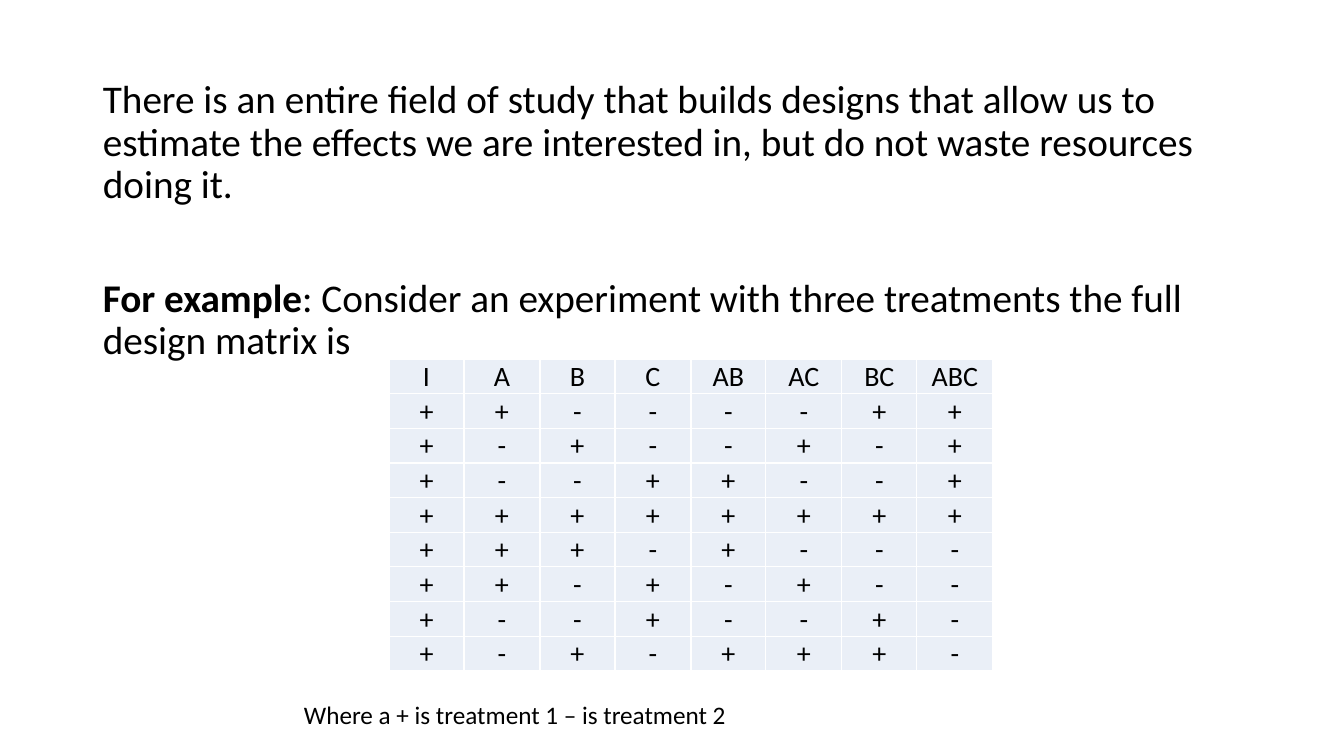
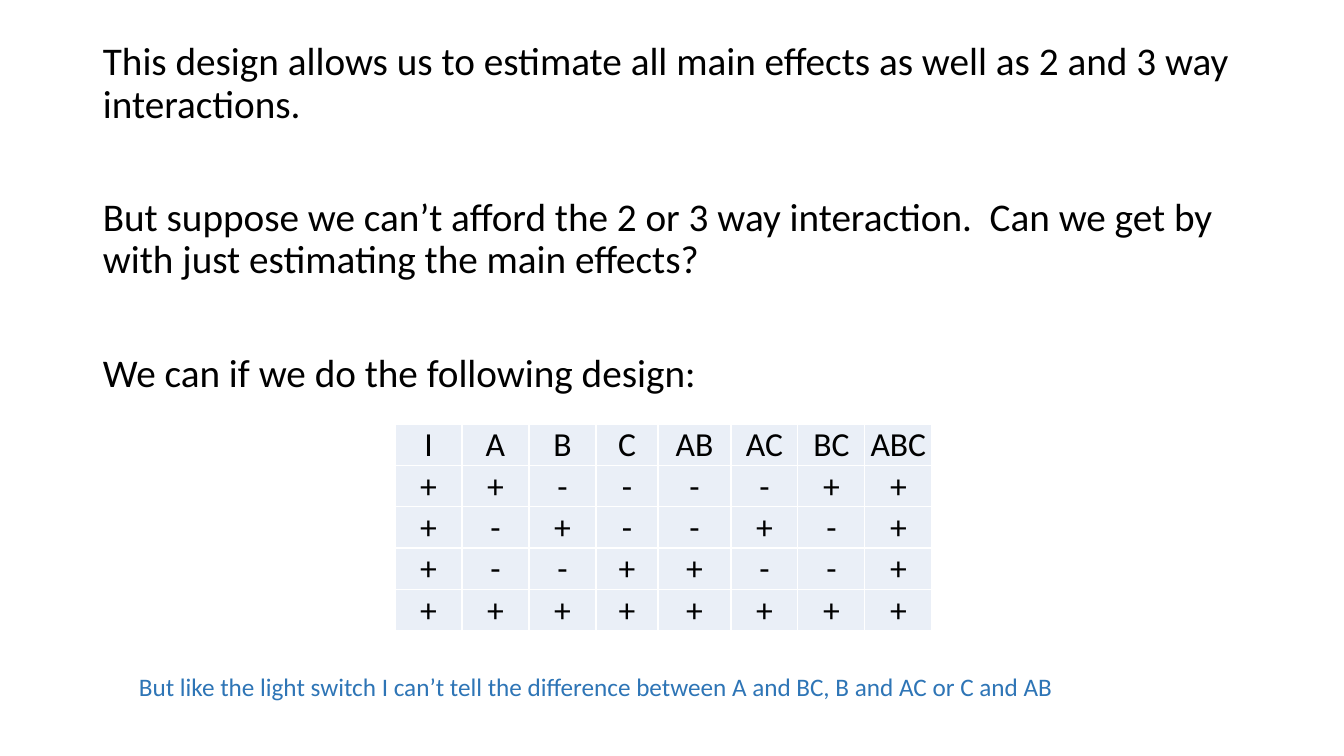
from dataclasses import dataclass

from lxml.etree import SubElement
from pptx import Presentation
from pptx.dml.color import RGBColor
from pptx.enum.text import MSO_ANCHOR as Anchor, MSO_AUTO_SIZE as AutoSize, PP_ALIGN as Align
from pptx.oxml.ns import qn
from pptx.util import Emu, Pt

# Shared style
FONT = "Calibri"
BLACK, WHITE, BLUE, CELL_FILL = "000000", "FFFFFF", "2E75B6", "EAEFF7"
BODY_SIZE, NOTE_SIZE = 28, 18
BODY_LEFT, BODY_WIDTH = 93, 1159
PARAGRAPH_GAP = 50.8
EMU_PER_PX = 914400 / 100.8


@dataclass
class Paragraph:
    text: str
    lead: str = ""


@dataclass
class Body:
    top: int
    height: int
    paragraphs: list[Paragraph]


@dataclass
class DesignTable:
    left: int
    top: int
    columns: list[int]
    row_height: int
    size: int
    runs: list[str]


@dataclass
class Note:
    left: int
    top: int
    width: int
    text: str
    color: str


@dataclass
class DesignSlide:
    body: Body
    table: DesignTable
    note: Note


def px(n: int) -> Emu:
    return Emu(round(n * EMU_PER_PX))


def rgb(color: str) -> RGBColor:
    return RGBColor.from_string(color)


def style_run(r, size: int, color: str = BLACK, bold: bool = False) -> None:
    r.font.name = FONT
    r.font.size = Pt(size)
    r.font.bold = bold
    r.font.color.rgb = rgb(color)


def draw_body(s, body: Body) -> None:
    sp = s.shapes.add_textbox(px(BODY_LEFT), px(body.top), px(BODY_WIDTH), px(body.height))
    tf = sp.text_frame
    tf.word_wrap = True
    for i, paragraph in enumerate(body.paragraphs):
        p = tf.add_paragraph() if i else tf.paragraphs[0]
        p.line_spacing = 0.9
        p.space_before = Pt(PARAGRAPH_GAP if i else 0)
        for text, bold in ((paragraph.lead, True), (paragraph.text, False)):
            if text:
                r = p.add_run()
                r.text = text
                style_run(r, BODY_SIZE, bold=bold)


def add_borders(cell) -> None:
    tc_pr = cell._tc.get_or_add_tcPr()
    for side in ("a:lnL", "a:lnR", "a:lnT", "a:lnB"):
        line = SubElement(tc_pr, qn(side), w=str(Pt(1)))
        fill = SubElement(line, qn("a:solidFill"))
        SubElement(fill, qn("a:srgbClr"), val=WHITE)


def draw_cell(cell, text: str, size: int) -> None:
    cell.margin_left = cell.margin_right = cell.margin_top = px(1)
    cell.margin_bottom = 0
    cell.vertical_anchor = Anchor.BOTTOM
    add_borders(cell)
    cell.fill.solid()
    cell.fill.fore_color.rgb = rgb(CELL_FILL)
    p = cell.text_frame.paragraphs[0]
    p.text = text
    p.alignment = Align.CENTER
    style_run(p.runs[0], size)


def draw_table(s, design: DesignTable) -> None:
    rows = [EFFECTS, *design.runs]
    frame = s.shapes.add_table(
        len(rows), len(EFFECTS), px(design.left), px(design.top),
        px(sum(design.columns)), px(design.row_height * len(rows)))
    table = frame.table
    table.first_row = table.horz_banding = False
    for column, width in zip(table.columns, design.columns):
        column.width = px(width)
    for i, row in enumerate(rows):
        table.rows[i].height = px(design.row_height)
        for j, text in enumerate(row):
            draw_cell(table.cell(i, j), text, design.size)


def draw_note(s, note: Note) -> None:
    sp = s.shapes.add_textbox(px(note.left), px(note.top), px(note.width), px(40))
    tf = sp.text_frame
    tf.word_wrap = False
    tf.auto_size = AutoSize.SHAPE_TO_FIT_TEXT
    tf.text = note.text
    style_run(tf.paragraphs[0].runs[0], NOTE_SIZE, note.color)


# Design matrix: one sign per effect in each run
EFFECTS = ["I", "A", "B", "C", "AB", "AC", "BC", "ABC"]
HALF_DESIGN = ["++----++", "+-+--+-+", "+--++--+", "++++++++"]
FULL_DESIGN = HALF_DESIGN + ["+++-+---", "++-+-+--", "+--+--+-", "+-+-+++-"]

SLIDES = [
    DesignSlide(
        Body(75, 607, [
            Paragraph("There is an entire field of study that builds designs that allow us to "
                      "estimate the effects we are interested in, but do not waste resources "
                      "doing it."),
            Paragraph(": Consider an experiment with three treatments the full design matrix is",
                      lead="For example"),
        ]),
        DesignTable(389, 359, [75, 76] * 4, 34, 20, FULL_DESIGN),
        Note(294, 694, 448, "Where a + is treatment 1 – is treatment 2", BLACK),
    ),
    DesignSlide(
        Body(37, 643, [
            Paragraph("This design allows us to estimate all main effects as well as 2 and 3 way "
                      "interactions."),
            Paragraph("But suppose we can’t afford the 2 or 3 way interaction.  Can we get by "
                      "with just estimating the main effects?"),
            Paragraph("We can if we do the following design:"),
        ]),
        DesignTable(395, 424, [67, 67, 67, 62, 73, 67, 67, 67], 41, 24, HALF_DESIGN),
        Note(129, 666, 951, "But like the light switch I can’t tell the difference between "
             "A and BC, B and AC or C and AB", BLUE),
    ),
]

# Build the presentation
prs = Presentation()
prs.slide_width, prs.slide_height = px(1344), px(756)
for content in SLIDES:
    s = prs.slides.add_slide(prs.slide_layouts[6])
    draw_body(s, content.body)
    draw_table(s, content.table)
    draw_note(s, content.note)
prs.save("out.pptx")
